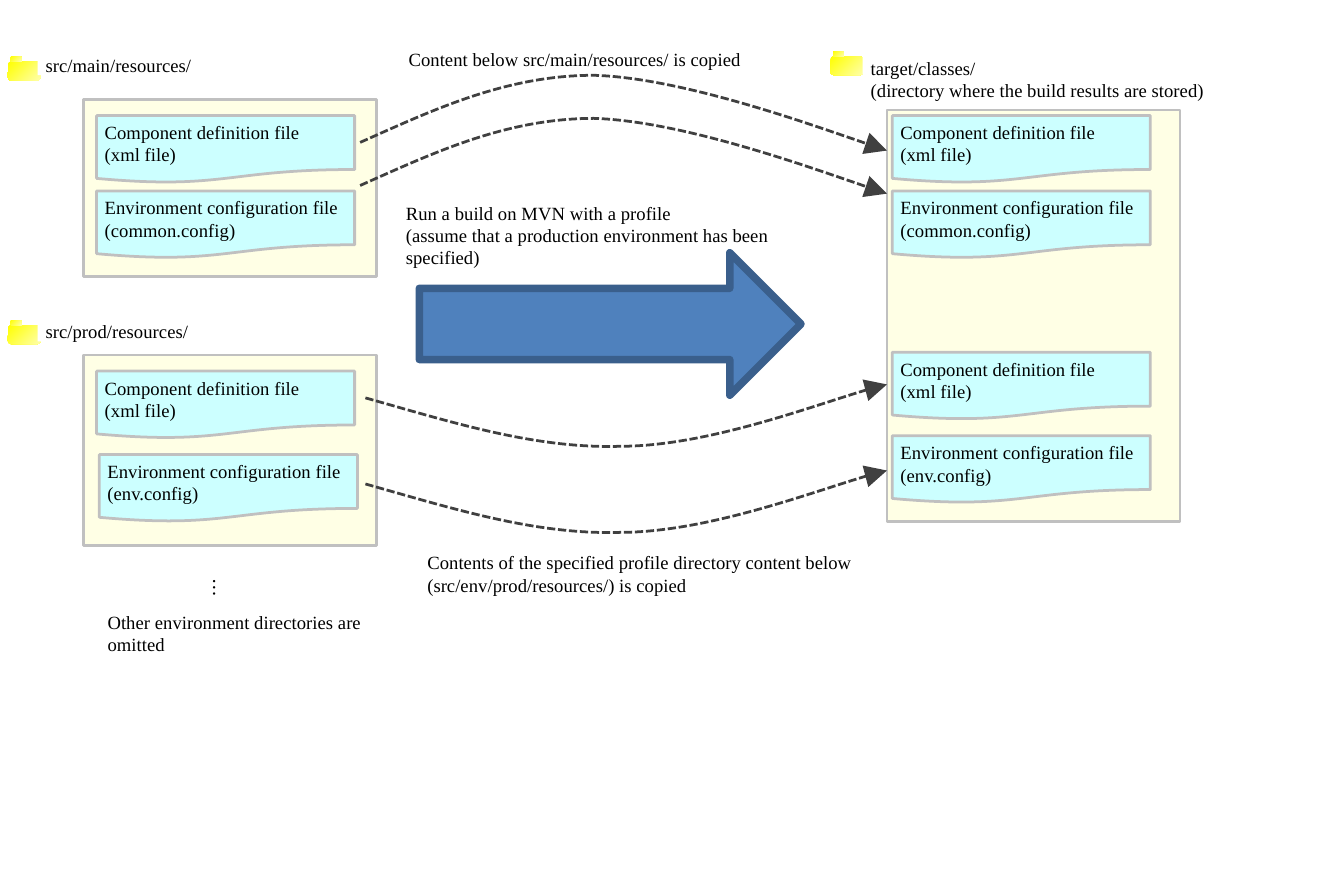
import pptx
import pptx.util
import pptx.dml.color
import pptx.enum.shapes
import pptx.enum.text
import pptx.oxml.ns
import lxml.etree

Inches = pptx.util.Inches
Pt = pptx.util.Pt
SHAPE = pptx.enum.shapes.MSO_SHAPE
qn = pptx.oxml.ns.qn

SERIF = "Times New Roman"
COMPONENT = ["Component definition file", "(xml file)"]
COMMON = ["Environment configuration file", "(common.config)"]
ENV = ["Environment configuration file", "(env.config)"]


def colour(hex_value):
    """Turn a hex string into a colour."""
    return pptx.dml.color.RGBColor.from_string(hex_value)


def add_box(slide, kind, box, fill=None, line=None, width=0.75):
    """Add a preset shape without shadow, with optional fill and line."""
    shape = slide.shapes.add_shape(kind, *map(Inches, box))
    shape.shadow.inherit = False
    if fill:
        shape.fill.solid()
        shape.fill.fore_color.rgb = colour(fill)
    else:
        shape.fill.background()
    if line:
        shape.line.color.rgb = colour(line)
        shape.line.width = Pt(width)
    else:
        shape.line.fill.background()
    return shape


def write(shape, lines, right=0.03, font=SERIF):
    """Write lines as left-aligned 5 pt paragraphs from the top of a shape."""
    frame = shape.text_frame
    frame.word_wrap = True
    frame.vertical_anchor = pptx.enum.text.MSO_ANCHOR.TOP
    frame.margin_left, frame.margin_right = Inches(0.03), Inches(right)
    frame.margin_top, frame.margin_bottom = Inches(0.02), 0
    frame.text = "\n".join(lines)
    for paragraph in frame.paragraphs:
        paragraph.alignment = pptx.enum.text.PP_ALIGN.LEFT
        for run in paragraph.runs:
            run.font.size = Pt(5)
            run.font.name = font
            run.font.color.rgb = colour("000000")


def add_label(slide, box, lines, fill="FFFFFF"):
    """Add a label on a plain rectangle."""
    write(add_box(slide, SHAPE.RECTANGLE, box, fill), lines)


def add_note(slide, box, lines):
    """Add a text box without fill."""
    write(slide.shapes.add_textbox(*map(Inches, box)), lines)


def add_folder(slide, left, top):
    """Draw a folder icon: a body and its tab."""
    for box in ((left, top + 0.02, 0.12, 0.07), (left + 0.01, top, 0.04, 0.02)):
        part = add_box(slide, SHAPE.ROUNDED_RECTANGLE, box)
        part.fill.gradient()
        part.fill.gradient_angle = 315
        for stop, position, shade in zip(part.fill.gradient_stops, (0, 1),
                                         ("FFFF00", "FFFFA9")):
            stop.position = position
            stop.color.rgb = colour(shade)


def add_directory(slide, box, folder, label_box, label, files):
    """Draw a directory: icon, label, and its files offset from the box corner."""
    left, top = box[:2]
    add_folder(slide, *folder)
    add_label(slide, label_box, label)
    add_box(slide, SHAPE.RECTANGLE, box, "FFFFE5", "C0C0C0")
    for dx, dy, lines in files:
        document = add_box(slide, SHAPE.FLOWCHART_DOCUMENT,
                           (left + dx, top + dy, 0.96, 0.25), "CCFFFF", "C0C0C0")
        write(document, lines, right=0)


def curve_segments(freeform):
    """Turn each three straight segments of a freeform into one cubic curve."""
    segments = list(freeform._element.iter(qn("a:lnTo")))
    for first in range(0, len(segments), 3):
        outline = segments[first].getparent()
        curve = lxml.etree.SubElement(outline, qn("a:cubicBezTo"))
        for segment in segments[first:first + 3]:
            curve.append(segment[0])
            outline.remove(segment)


def add_copy_arrow(slide, left, top, offsets):
    """Draw a dashed curved arrow of cubic pieces starting at left, top."""
    points = [(Inches(left + dx), Inches(top + dy)) for dx, dy in offsets]
    builder = slide.shapes.build_freeform(*points[0])
    builder.add_line_segments(points[1:], close=False)
    arrow = builder.convert_to_shape()
    curve_segments(arrow)
    arrow.shadow.inherit = False
    arrow.fill.background()
    arrow.line.color.rgb = colour("404040")
    arrow.line.width = Pt(0.75)
    outline = arrow.line._get_or_add_ln()
    lxml.etree.SubElement(outline, qn("a:prstDash")).set("val", "sysDash")
    lxml.etree.SubElement(outline, qn("a:tailEnd")).set("type", "triangle")


def add_omitted(slide, left, top):
    """Add the vertical ellipsis and the remark on omitted directories."""
    ellipsis = add_box(slide, SHAPE.RECTANGLE,
                       (left + 0.37, top, 0.13, 0.1), "FFFFFF")
    write(ellipsis, ["…"], font="Noto Sans CJK JP")
    ellipsis.text_frame._txBody.bodyPr.set("vert", "eaVert")
    properties = ellipsis.text_frame.paragraphs[0].runs[0].font._element
    east_asian = lxml.etree.SubElement(properties, qn("a:ea"))
    east_asian.set("typeface", "Noto Sans CJK JP")
    add_label(slide, (left, top + 0.12, 1.02, 0.16),
              ["Other environment directories are omitted"])


def add_build_step(slide, left, top):
    """Add the build arrow and the text above it."""
    add_box(slide, SHAPE.RIGHT_ARROW, (left + 0.08, top + 0.21, 1.42, 0.53),
            "4F81BD", "3A5F8C", 2)
    add_note(slide, (left, top, 1.51, 0.26),
             ["Run a build on MVN with a profile",
              "(assume that a production environment has been specified)"])


def build():
    """Build the slide and save it."""
    deck = pptx.Presentation()
    deck.slide_width, deck.slide_height = Inches(5), Inches(3.25)
    slide = deck.slides.add_slide(deck.slide_layouts[6])

    add_directory(slide, (0.31, 0.37, 1.09, 0.66), (0.03, 0.21),
                  (0.14, 0.18, 0.86, 0.1), ["src/main/resources/"],
                  [(0.05, 0.06, COMPONENT), (0.05, 0.34, COMMON)])
    add_directory(slide, (0.31, 1.32, 1.09, 0.71), (0.03, 1.19),
                  (0.14, 1.17, 0.86, 0.1), ["src/prod/resources/"],
                  [(0.05, 0.06, COMPONENT), (0.06, 0.37, ENV)])
    add_directory(slide, (3.3, 0.41, 1.09, 1.53), (3.09, 0.19),
                  (3.21, 0.19, 1.5, 0.18),
                  ["target/classes/ ",
                   "(directory where the build results are stored)"],
                  [(0.02, 0.02, COMPONENT), (0.02, 0.3, COMMON),
                   (0.02, 0.9, COMPONENT), (0.02, 1.21, ENV)])
    add_omitted(slide, 0.37, 2.13)
    add_build_step(slide, 1.48, 0.73)

    rising = [(0, 0), (0.27, -0.12), (0.54, -0.25), (0.87, -0.25),
              (1.2, -0.24), (1.81, -0.02), (1.96, 0.03)]
    sagging = [(0, 0), (0.32, 0.09), (0.63, 0.19), (0.95, 0.18),
               (1.27, 0.18), (1.8, -0.02), (1.94, -0.05)]
    for left, top, offsets in ((1.34, 0.53, rising), (1.34, 0.69, rising),
                               (1.36, 1.48, sagging), (1.36, 1.8, sagging)):
        add_copy_arrow(slide, left, top, offsets)
    add_note(slide, (1.49, 0.16, 1.51, 0.13),
             ["Content below src/main/resources/ is copied"])
    add_note(slide, (1.56, 2.03, 1.75, 0.22),
             ["Contents of the specified profile directory content below "
              "(src/env/prod/resources/) is copied"])
    deck.save("out.pptx")


build()
